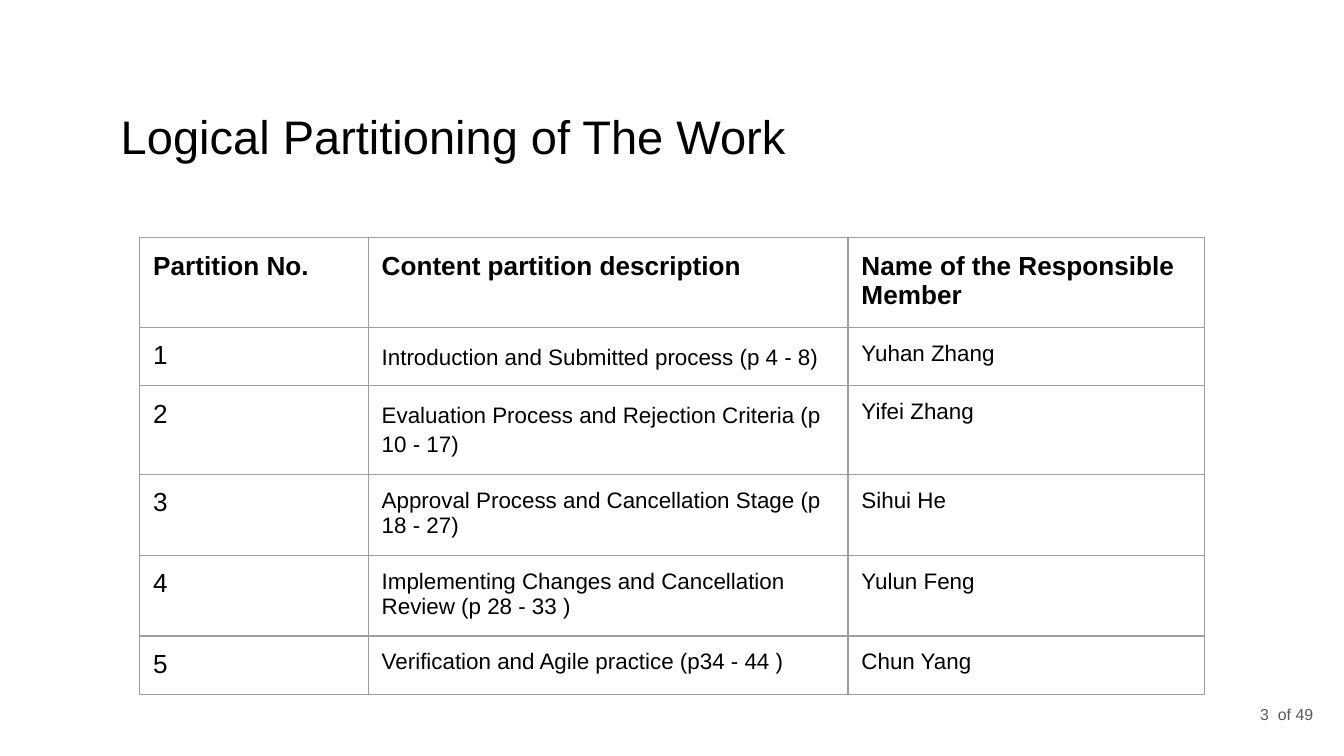
from lxml.etree import SubElement
from pptx import Presentation
from pptx.dml.color import RGBColor
from pptx.enum.text import MSO_ANCHOR, PP_ALIGN
from pptx.oxml.ns import qn
from pptx.util import Inches, Pt

TITLE = "Logical Partitioning of The Work"
PAGE_NUMBER = "3  of 49"
HEADERS = ("Partition No.", "Content partition description", "Name of the Responsible Member")
PARTITIONS = [
    ("Introduction and Submitted process (p 4 - 8)", "Yuhan Zhang", 1.15),
    ("Evaluation Process and Rejection Criteria (p 10 - 17)", "Yifei Zhang", 1.15),
    ("Approval Process and Cancellation Stage (p 18 - 27)", "Sihui He", None),
    ("Implementing Changes and Cancellation Review (p 28 - 33 )", "Yulun Feng", None),
    ("Verification and Agile practice (p34 - 44 )", "Chun Yang", None),
]
COLORS = {"text": "000000", "muted": "595959", "border": "9E9E9E"}
COLUMN_WIDTHS = (1.7, 3.57, 2.65)
ROW_HEIGHT = 0.42
FRAME_SIDE = Inches(3.28)
MARGIN = Inches(0.1)


def write(text_frame, text, size, color="text", bold=False):
    text_frame.text = text
    paragraph = text_frame.paragraphs[0]
    font = paragraph.runs[0].font
    font.name, font.size, font.bold = "Arial", Pt(size), bold
    font.color.rgb = RGBColor.from_string(COLORS[color])
    return paragraph


def set_margins(target):
    target.margin_left = target.margin_right = MARGIN
    target.margin_top = target.margin_bottom = MARGIN


def add_text(slide, box, text, size, color="text"):
    text_frame = slide.shapes.add_textbox(*map(Inches, box)).text_frame
    text_frame.word_wrap = True
    set_margins(text_frame)
    write(text_frame, text, size, color)
    return text_frame


def add_borders(cell):
    properties = cell._tc.get_or_add_tcPr()
    for position, side in enumerate(("lnL", "lnR", "lnT", "lnB")):
        line = SubElement(properties, qn(f"a:{side}"), w=str(Pt(0.75)))
        fill = SubElement(line, qn("a:solidFill"))
        SubElement(fill, qn("a:srgbClr"), val=COLORS["border"])
        properties.remove(line)
        properties.insert(position, line)


def add_partition_table(slide):
    rows = [HEADERS] + [
        (str(number), description, member)
        for number, (description, member, _) in enumerate(PARTITIONS, 1)
    ]
    frame = slide.shapes.add_table(
        len(rows), len(HEADERS), Inches(1.04), Inches(1.77), FRAME_SIDE, FRAME_SIDE
    )
    table = frame.table
    for column, width in zip(table.columns, COLUMN_WIDTHS):
        column.width = Inches(width)
    for row_index, row in enumerate(rows):
        table.rows[row_index].height = Inches(ROW_HEIGHT)
        for column_index, text in enumerate(row):
            cell = table.cell(row_index, column_index)
            is_header = row_index == 0
            size = 14 if is_header or column_index == 0 else 12
            paragraph = write(cell.text_frame, text, size, bold=is_header)
            if not is_header and column_index == 1:
                paragraph.line_spacing = PARTITIONS[row_index - 1][2]
            set_margins(cell)
            cell.fill.background()
            add_borders(cell)
    frame.width = frame.height = FRAME_SIDE


def main():
    """Build the work partitioning slide."""
    presentation = Presentation()
    presentation.slide_width = Inches(10)
    presentation.slide_height = presentation.slide_width * 9 // 16
    slide = presentation.slides.add_slide(presentation.slide_layouts[6])
    add_text(slide, (0.8, 0.7, 8.41, 0.59), TITLE, 25.2)
    page_frame = add_text(slide, (9.27, 5.1, 0.6, 0.43), PAGE_NUMBER, 8.5, "muted")
    page_frame.margin_left = 0
    page_frame.vertical_anchor = MSO_ANCHOR.MIDDLE
    page_frame.paragraphs[0].alignment = PP_ALIGN.RIGHT
    add_partition_table(slide)
    presentation.save("out.pptx")


if __name__ == "__main__":
    main()
